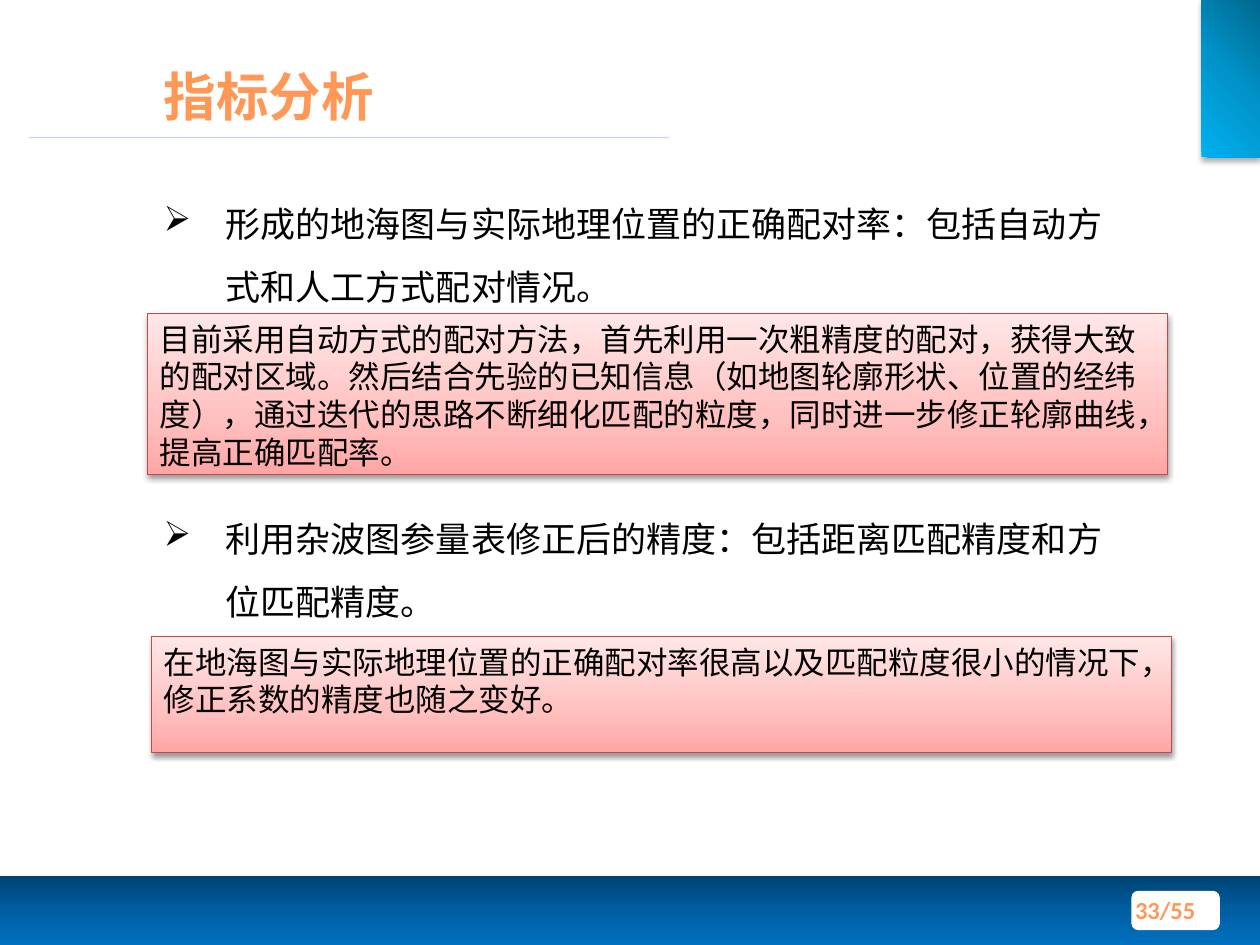
from dataclasses import dataclass
from typing import Optional

from lxml.etree import SubElement
from pptx import Presentation
from pptx.dml.color import RGBColor
from pptx.enum.shapes import MSO_CONNECTOR, MSO_SHAPE
from pptx.enum.text import MSO_ANCHOR, PP_ALIGN
from pptx.oxml import parse_xml
from pptx.oxml.ns import nsdecls, qn
from pptx.util import Cm, Pt

CJK = "Noto Sans CJK SC"
ORANGE, BLACK, WHITE = "FF9856", "000000", "FFFFFF"


@dataclass(frozen=True)
class Box:
    left: float
    top: float
    width: float
    height: float

    def emu(self) -> tuple:
        return Cm(self.left), Cm(self.top), Cm(self.width), Cm(self.height)


@dataclass(frozen=True)
class Gradient:
    stops: tuple
    angle: Optional[int] = None  # None: radial from the top right corner


@dataclass(frozen=True)
class Shadow:
    alpha: int
    blur: float
    distance: float


@dataclass(frozen=True)
class TextStyle:
    size: float
    color: str = BLACK
    latin: str = CJK
    bold: bool = False


@dataclass(frozen=True)
class Note:
    box: Box
    text: str


FOOTER_BLUE = Gradient(((0, "004272"), (50, "005EA2"), (100, "0070C0")), 90)
CORNER_BLUE = Gradient(((0, "00688E"), (50, "0094CA"), (100, "00B0F0")))
NOTE_RED = Gradient(((0, "FFA6A5"), (35, "FFC0BF"), (100, "FFE7E7")), 270)
NOTE_STYLE = TextStyle(18, latin="Times New Roman")
GOAL_STYLE = TextStyle(20)
GOAL_PITCH = 36  # line pitch in points

GOALS = (
    "形成的地海图与实际地理位置的正确配对率：包括自动方式和人工方式配对情况。",
    "利用杂波图参量表修正后的精度：包括距离匹配精度和方位匹配精度。",
)
NOTES = (
    Note(Box(3.05, 12.83, 20.57, 2.34),
         "在地海图与实际地理位置的正确配对率很高以及匹配粒度很小的情况下，"
         "修正系数的精度也随之变好。"),
    Note(Box(2.97, 6.32, 20.57, 3.25),
         "目前采用自动方式的配对方法，首先利用一次粗精度的配对，获得大致的配对区域。"
         "然后结合先验的已知信息（如地图轮廓形状、位置的经纬度），"
         "通过迭代的思路不断细化匹配的粒度，同时进一步修正轮廓曲线，提高正确匹配率。"),
)


def rgb(color: str) -> RGBColor:
    return RGBColor.from_string(color)


def set_gradient(shape, gradient: Gradient) -> None:
    stops = "".join(f'<a:gs pos="{pos * 1000}"><a:srgbClr val="{color}"/></a:gs>'
                    for pos, color in gradient.stops)
    if gradient.angle is None:
        direction = ('<a:path path="circle">'
                     '<a:fillToRect l="100000" b="100000"/></a:path>')
    else:
        direction = f'<a:lin ang="{gradient.angle * 60000}" scaled="0"/>'
    shape.fill.background()
    properties = shape._element.spPr
    properties.replace(properties.find(qn("a:noFill")), parse_xml(
        f'<a:gradFill {nsdecls("a")} rotWithShape="0">'
        f"<a:gsLst>{stops}</a:gsLst>{direction}</a:gradFill>"))


def set_shadow(shape, shadow: Shadow) -> None:
    effects = shape._element.spPr.find(qn("a:effectLst"))
    effects.append(parse_xml(
        f'<a:outerShdw {nsdecls("a")} blurRad="{Pt(shadow.blur)}" '
        f'dist="{Pt(shadow.distance)}" dir="5400000" rotWithShape="0">'
        f'<a:srgbClr val="000000"><a:alpha val="{shadow.alpha * 1000}"/>'
        "</a:srgbClr></a:outerShdw>"))


def add_panel(slide, box: Box, fill, shadow: Optional[Shadow] = None,
              line: Optional[str] = None, kind=MSO_SHAPE.RECTANGLE):
    panel = slide.shapes.add_shape(kind, *box.emu())
    panel.shadow.inherit = False
    if isinstance(fill, Gradient):
        set_gradient(panel, fill)
    else:
        panel.fill.solid()
        panel.fill.fore_color.rgb = rgb(fill)
    if line:
        panel.line.color.rgb = rgb(line)
        panel.line.width = Pt(0.75)
    else:
        panel.line.fill.background()
    if shadow:
        set_shadow(panel, shadow)
    return panel


def add_run(paragraph, text: str, style: TextStyle) -> None:
    run = paragraph.add_run()
    run.text = text
    run.font.size = Pt(style.size)
    run.font.bold = style.bold
    run.font.color.rgb = rgb(style.color)
    run.font.name = style.latin
    SubElement(run.font._element, qn("a:ea")).set("typeface", CJK)


def add_text_frame(slide, box: Box, anchor=MSO_ANCHOR.TOP):
    frame = slide.shapes.add_textbox(*box.emu()).text_frame
    frame.word_wrap = True
    frame.vertical_anchor = anchor
    return frame


def add_goal(paragraph, text: str) -> None:
    paragraph.line_spacing = Pt(GOAL_PITCH)
    properties = paragraph._p.get_or_add_pPr()
    properties.set("marL", str(Cm(1.25)))
    properties.set("indent", str(Cm(-1.25)))
    SubElement(properties, qn("a:buChar")).set("char", "➢")
    add_run(paragraph, text, GOAL_STYLE)


def add_note(slide, note: Note) -> None:
    panel = add_panel(slide, note.box, NOTE_RED, Shadow(38, 3.1, 1.6), "BF4C48")
    frame = panel.text_frame
    frame.word_wrap = True
    frame.vertical_anchor = MSO_ANCHOR.TOP
    paragraph = frame.paragraphs[0]
    paragraph.alignment = PP_ALIGN.LEFT
    paragraph.line_spacing = Pt(21.6)
    add_run(paragraph, note.text, NOTE_STYLE)


def add_title_rule(slide) -> None:
    rule = slide.shapes.add_connector(
        MSO_CONNECTOR.STRAIGHT, Cm(0.58), Cm(2.77), Cm(13.49), Cm(2.77))
    rule.line.color.rgb = rgb("4A7EBB")
    rule.line.width = Pt(0.75)
    properties = rule._element.spPr
    color = properties.find(".//" + qn("a:srgbClr"))
    SubElement(color, qn("a:alpha")).set("val", "29000")
    SubElement(properties, qn("a:effectLst"))


def main() -> None:
    deck = Presentation()
    deck.slide_width, deck.slide_height = Cm(25.4), Cm(19.05)
    slide = deck.slides.add_slide(deck.slide_layouts[6])

    # Frame: footer band, page badge, corner tab and title rule
    add_panel(slide, Box(0, 17.65, 25.4, 1.4), FOOTER_BLUE, Shadow(40, 4, 3))
    add_panel(slide, Box(22.81, 17.96, 1.78, 0.79), WHITE,
              kind=MSO_SHAPE.ROUNDED_RECTANGLE)
    corner = add_panel(slide, Box(23.22, 0.99, 3.18, 1.19), CORNER_BLUE,
                       Shadow(32, 3.5, 2.2))
    corner.rotation = 90
    add_title_rule(slide)

    # Page number and title
    page = add_text_frame(slide, Box(22.1, 17.83, 2.36, 1.02), MSO_ANCHOR.MIDDLE)
    page.paragraphs[0].alignment = PP_ALIGN.RIGHT
    add_run(page.paragraphs[0], "33/55 ", TextStyle(14, ORANGE, "Calibri", True))
    title = add_text_frame(slide, Box(3.05, 1.12, 21.64, 1.57), MSO_ANCHOR.BOTTOM)
    add_run(title.paragraphs[0], "指标分析", TextStyle(30, ORANGE, bold=True))

    # Goals, with room for a note of three lines between them
    goals = add_text_frame(slide, Box(3.05, 3.53, 19.66, 12.57))
    add_goal(goals.paragraphs[0], GOALS[0])
    second_goal = goals.add_paragraph()
    second_goal.space_before = Pt(3 * GOAL_PITCH)
    add_goal(second_goal, GOALS[1])

    # Notes
    for note in NOTES:
        add_note(slide, note)

    deck.save("out.pptx")


if __name__ == "__main__":
    main()
